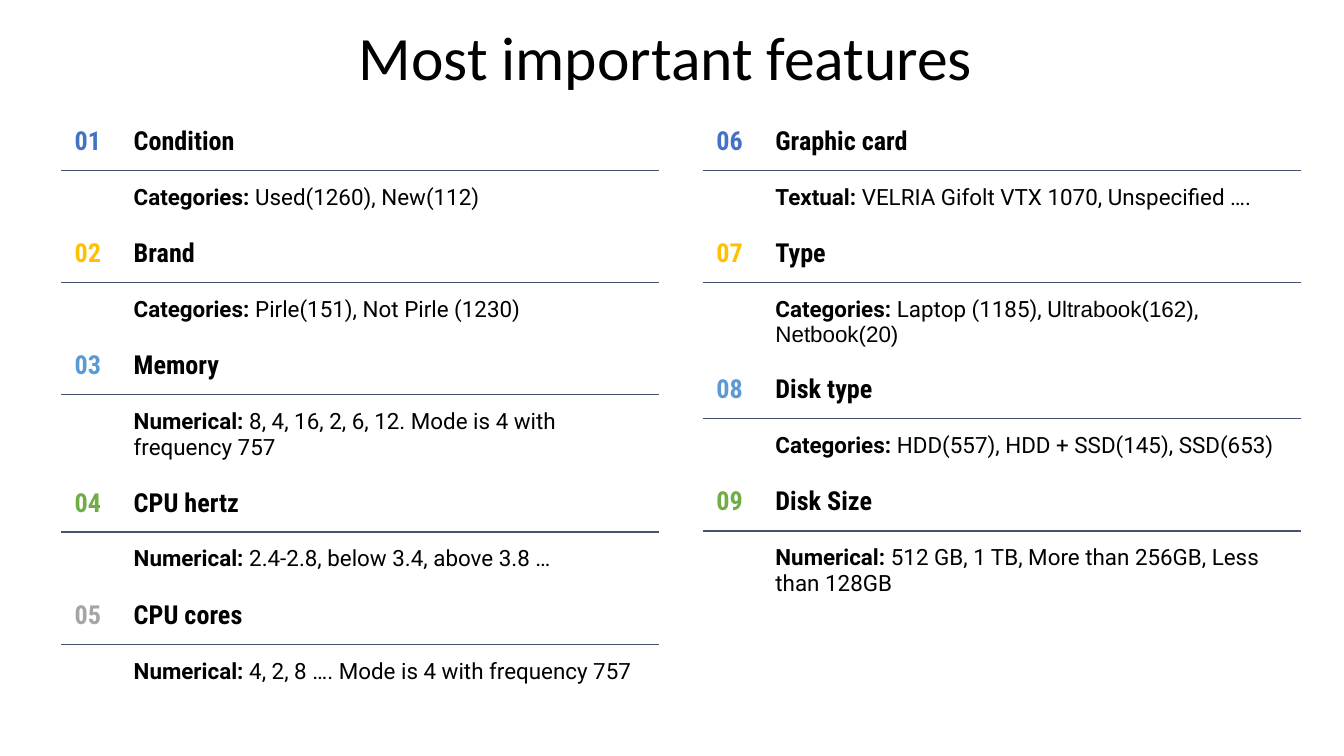
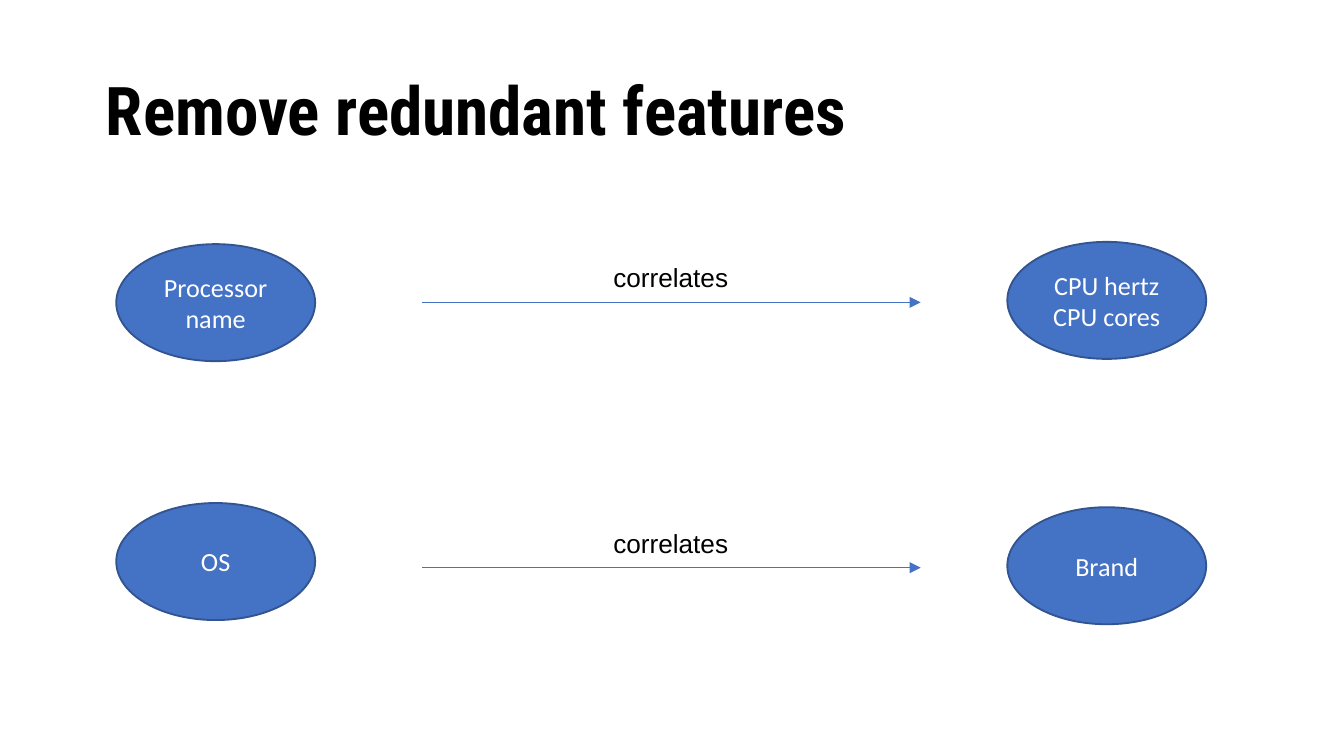
from pptx import Presentation
from pptx import util as u
from pptx.dml.color import RGBColor
from pptx.enum import shapes, text
from pptx.oxml.ns import qn
from lxml import etree


class Theme:
    black, white, rule = "000000", "FFFFFF", "44546A"
    blue, edge = "4472C4", "325491"
    tints = [blue, "FFC000", "5B9BD5", "70AD47", "A5A5A5"]
    sans, body, head, plain = "Calibri", "Roboto", "Roboto Condensed", "Arial"
    big, lead, mid, small = 36, 33, 14, 12
    bare = "{2D5ABB26-0587-4C30-8999-92F81FD0307C}"


deck = Presentation()
deck.slide_width = u.Inches(10)
deck.slide_height = deck.slide_width * 9 // 16
col, row = deck.slide_width / 100, deck.slide_height / 100


def place(x, y, w, h):
    return [round(n) for n in (x * col, y * row, w * col, h * row)]


def style(run, face, size, tint=Theme.black, bold=False):
    run.font.name, run.font.size, run.font.bold = face, u.Pt(size), bold
    run.font.color.rgb = RGBColor.from_string(tint)


titles = [
    ("Most important features", 6.4, -1.6, text.PP_ALIGN.CENTER, Theme.sans, Theme.lead, False, 0.1),
    ("Remove redundant features", 6.88, 5.32, text.PP_ALIGN.LEFT, Theme.head, Theme.big, True, 0.05),
]
pages = []
for words, x, y, align, face, size, bold, pad in titles:
    page = deck.slides.add_slide(deck.slide_layouts[5])
    pages.append(page)
    title = page.shapes.title
    title.left, title.top, title.width, title.height = place(x, y, 86.25, 19.33)
    frame = title.text_frame
    frame.text = words
    frame.auto_size = text.MSO_AUTO_SIZE.NONE
    frame.vertical_anchor = text.MSO_ANCHOR.MIDDLE
    frame.margin_top = frame.margin_bottom = u.Inches(pad)
    para = frame.paragraphs[0]
    para.alignment, para.line_spacing = align, 0.9
    style(para.runs[0], face, size, bold=bold)
traits, links = pages

items = [
    ("Condition", "Categories: ", "Used(1260), New(112)"),
    ("Brand", "Categories: ", "Pirle(151), Not Pirle (1230)"),
    ("Memory", "Numerical:", " 8, 4, 16, 2, 6, 12. Mode is 4 with frequency 757"),
    ("CPU hertz", "Numerical: ", "2.4-2.8, below 3.4, above 3.8 …"),
    ("CPU cores", "Numerical: ", "4, 2, 8 …. Mode is 4 with frequency 757"),
    ("Graphic card", "Textual: ", "VELRIA Gifolt VTX 1070, Unspecified …."),
    ("Type", "Categories: ", "Laptop (1185), U|ltrabook(162)|, |Netbook(20)"),
    ("Disk type", "Categories: ", "HDD(557), HDD + SSD(145), SSD(653)"),
    ("Disk Size", "Numerical: ", "512 GB, 1 TB, More than 256GB, Less than 128GB"),
]
half = len(Theme.tints)
for first, x in ((0, 4.55), (half, 52.3)):
    part = items[first:first + half]
    grid = traits.shapes.add_table(2 * len(part), 2, *place(x, 14.93, 44.5, 11.73 * len(part))).table
    grid.first_row = grid.horz_banding = False
    grid._tbl.tblPr.find(qn("a:tableStyleId")).text = Theme.bare
    grid.columns[0].width, grid.columns[1].width = round(4.4 * col), round(40.1 * col)
    for r in range(2 * len(part)):
        grid.rows[r].height = u.Inches((0.34, 0.32)[r % 2])
        for c in range(2):
            cell = grid.cell(r, c)
            cell.vertical_anchor = text.MSO_ANCHOR.MIDDLE
            cell.margin_left = cell.margin_right = u.Inches(0.1)
            cell.margin_top = cell.margin_bottom = u.Inches(0.1)
            ruled = ("a:lnB", "a:lnT")[r % 2]
            for side in ("a:lnL", "a:lnR", "a:lnT", "a:lnB"):
                line = etree.SubElement(cell._tc.get_or_add_tcPr(), qn(side), w=str(u.Pt(0.75)))
                if side == ruled:
                    fill = etree.SubElement(line, qn("a:solidFill"))
                    etree.SubElement(fill, qn("a:srgbClr"), val=Theme.rule)
                else:
                    etree.SubElement(line, qn("a:noFill"))
            cell.fill.background()
    for i, (name, kind, detail) in enumerate(part):
        heads = (f"{first + i + 1:02}", Theme.tints[i]), (name, Theme.black)
        for c, (words, tint) in enumerate(heads):
            para = grid.cell(2 * i, c).text_frame.paragraphs[0]
            para.text = words
            style(para.runs[0], Theme.head, Theme.mid, tint, True)
        void = grid.cell(2 * i + 1, 0).text_frame.paragraphs[0]
        etree.SubElement(void._p, qn("a:endParaRPr"), sz=str(Theme.small * 100))
        para = grid.cell(2 * i + 1, 1).text_frame.paragraphs[0]
        para.text = kind
        style(para.runs[0], Theme.body, Theme.small, bold=True)
        for n, words in enumerate(detail.split("|")):
            run = para.add_run()
            run.text = words
            style(run, (Theme.body, Theme.plain)[n % 2], Theme.small)

pairs = [
    ("Processor name", 32.3, "CPU hertz CPU cores", 40),
    ("OS", 66.55, "Brand", 75.1),
]
for cause, top, effect, mid in pairs:
    for words, x, y in ((cause, 8.65, top), (effect, 74.95, mid - 8)):
        oval = links.shapes.add_shape(shapes.MSO_SHAPE.OVAL, *place(x, y, 14.8, 15.48))
        oval.shadow.inherit = False
        oval.fill.solid()
        oval.fill.fore_color.rgb = RGBColor.from_string(Theme.blue)
        oval.line.color.rgb = RGBColor.from_string(Theme.edge)
        oval.line.width = u.Pt(1)
        oval.text_frame.text = words
        oval.text_frame.word_wrap = True
        oval.text_frame.vertical_anchor = text.MSO_ANCHOR.MIDDLE
        para = oval.text_frame.paragraphs[0]
        para.alignment = text.PP_ALIGN.CENTER
        style(para.runs[0], Theme.sans, Theme.mid, Theme.white)

    x, y, end, low = place(31.4, mid, 68.5, mid)
    arrow = links.shapes.add_connector(shapes.MSO_CONNECTOR.STRAIGHT, x, y, end, low)
    arrow.line.color.rgb = RGBColor.from_string(Theme.blue)
    arrow.line.width = u.Pt(0.5)
    etree.SubElement(arrow.line._get_or_add_ln(), qn("a:tailEnd"), type="triangle")
    etree.SubElement(arrow._element.spPr, qn("a:effectLst"))

    label = links.shapes.add_textbox(*place(44.65, mid - 6.23, 10.6, 6.05)).text_frame
    label.text = "correlates"
    label.word_wrap = False
    label.auto_size = text.MSO_AUTO_SIZE.SHAPE_TO_FIT_TEXT
    style(label.paragraphs[0].runs[0], Theme.plain, Theme.mid)

deck.save("out.pptx")
